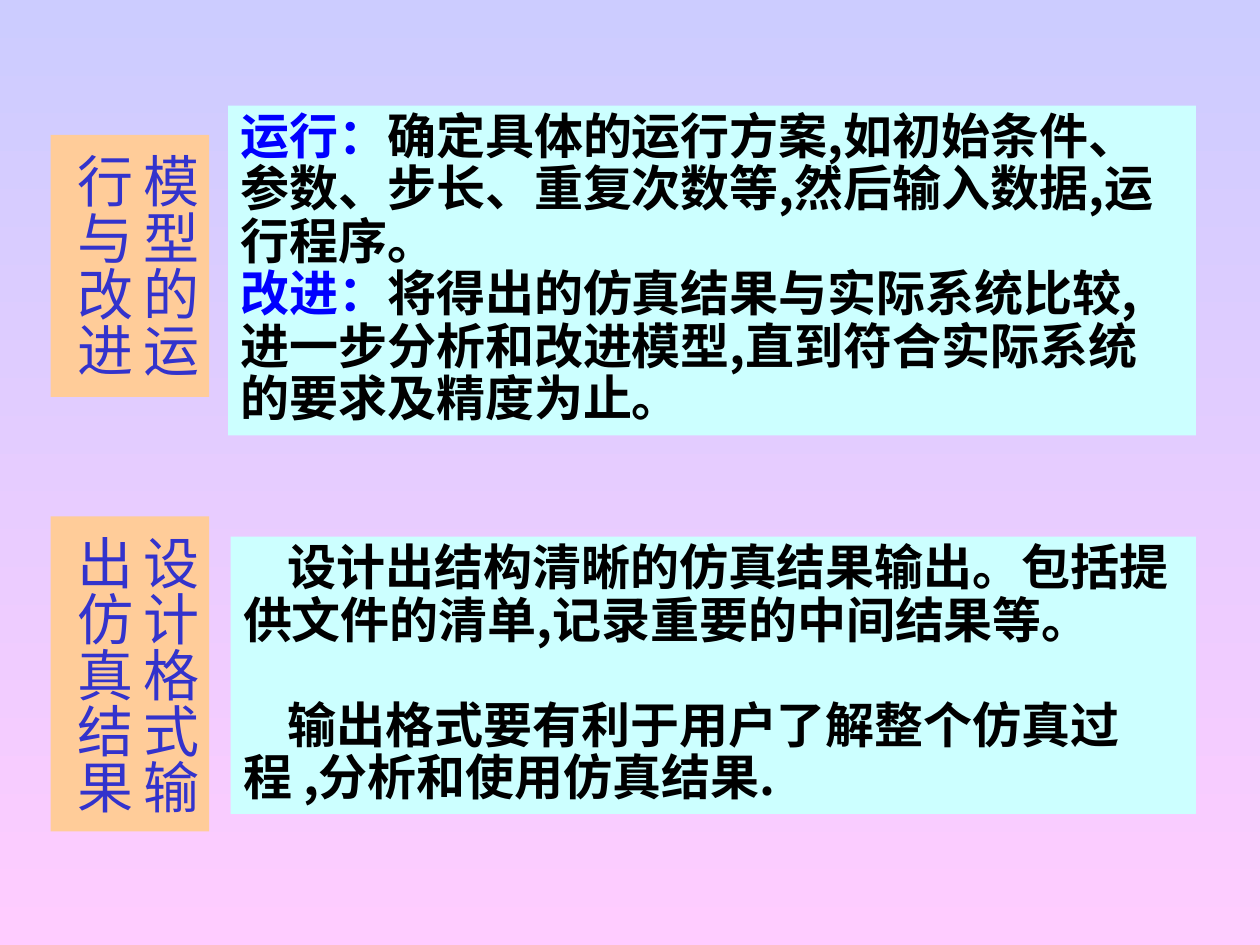
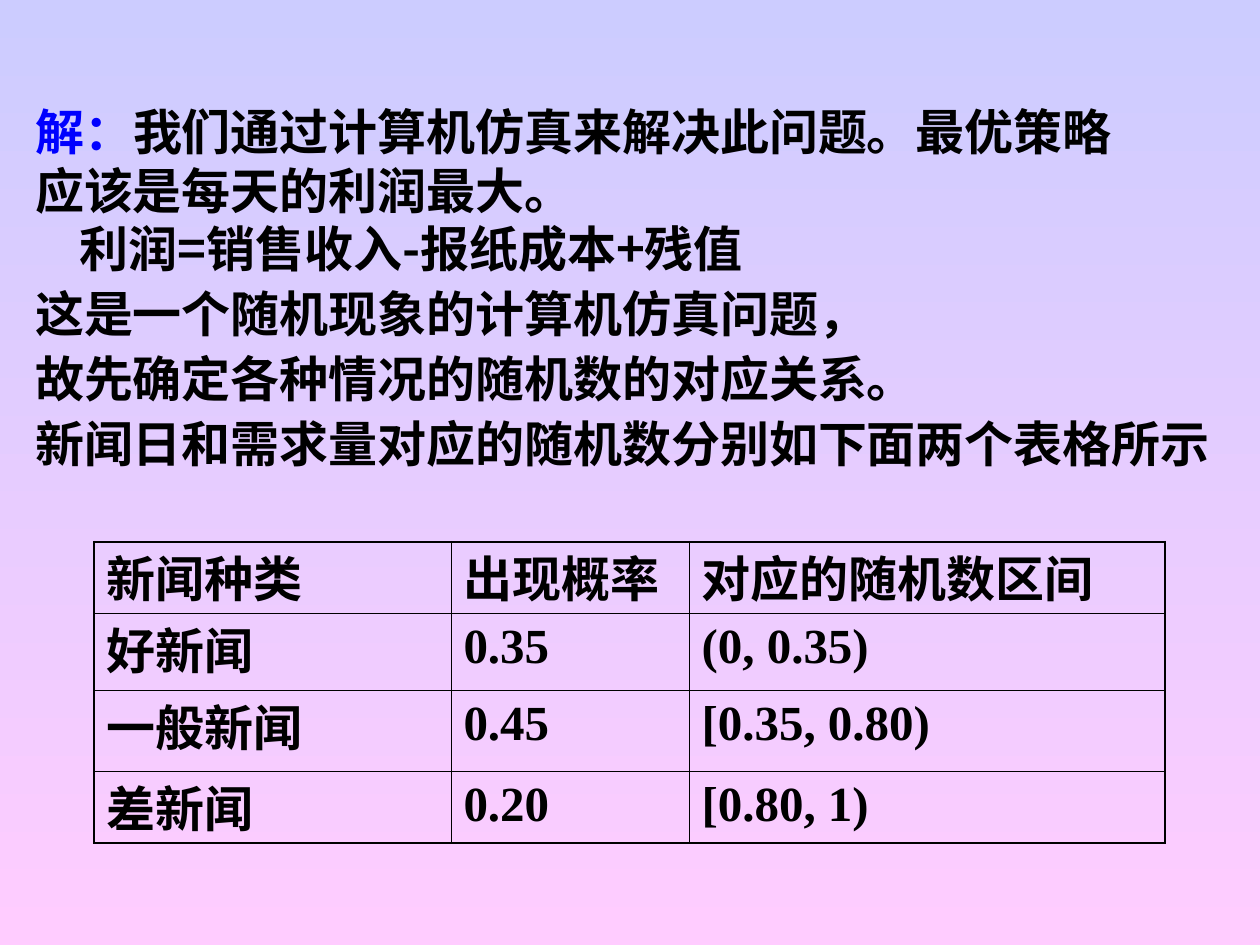
from lxml.etree import SubElement
from pptx import Presentation
from pptx.dml.color import RGBColor
from pptx.enum.shapes import MSO_SHAPE as Shape
from pptx.enum.text import MSO_ANCHOR as Anchor, PP_ALIGN as Align
from pptx.oxml.ns import qn
from pptx.util import Cm, Pt

COLORS = {
    "sky": "CCCCFF", "pink": "FFCCFF", "panel": "CCFFFF", "label": "FFCC99",
    "label_text": "3333CC", "lead": "0000FF", "text": "000000",
}
SANS, SERIF = "Noto Sans CJK SC", "Times New Roman"


def rgb(name):
    return RGBColor.from_string(COLORS[name])


def write(para, text, line, lead="", font=SANS, size=28, color="text", bold=True):
    """Fill a paragraph with an optional coloured lead-in and its text; \\n breaks the line."""
    para.alignment = Align.LEFT
    para.line_spacing = Pt(line)
    parts = [(lead, "lead")] if lead else []
    parts += [(piece, color) for piece in text.split("\n")]
    for index, (part, tone) in enumerate(parts):
        if index and not lead:
            para.add_line_break()
        span = para.add_run()
        span.text = part
        span.font.name = font
        span.font.size = Pt(size)
        span.font.bold = bold
        span.font.color.rgb = rgb(tone)
        SubElement(span.font._element, qn("a:ea"), typeface=SANS)


deck = Presentation()
deck.slide_width, deck.slide_height = Cm(25.4), Cm(19.05)
pages = [deck.slides.add_slide(deck.slide_layouts[6]) for _ in range(2)]
for page in pages:
    backdrop = page.background.fill
    backdrop.gradient()
    backdrop.gradient_angle = 270
    for stop, name, position in zip(backdrop.gradient_stops, ("sky", "pink"), (0, 1)):
        stop.color.rgb = rgb(name)
        stop.position = position

# Slide 1: two steps, each a vertical label beside a text panel
steps_page, solution_page = pages
steps = [
    {
        "panel": (4.6, 2.13, 19.51, 6.65),
        "label": (1.02, 2.72, 3.2, 5.28),
        "title": "模型的运行与改进",
        "paras": [
            ("运行：", "确定具体的运行方案,如初始条件、参数、步长、重复次数等,然后输入数据,运行程序。"),
            ("改进：", "将得出的仿真结果与实际系统比较,进一步分析和改进模型,直到符合实际系统的要求及精度为止。"),
        ],
        "indent": 0, "gap": 0,
    },
    {
        "panel": (4.65, 10.82, 19.46, 5.59),
        "label": (1.02, 10.41, 3.2, 6.35),
        "title": "设计格式输出仿真结果",
        "paras": [
            ("", "设计出结构清晰的仿真结果输出。包括提供文件的清单,记录重要的中间结果等。"),
            ("", "输出格式要有利于用户了解整个仿真过\n程 ,分析和使用仿真结果."),
        ],
        "indent": 0.9, "gap": 30,
    },
]
for step in steps:
    for kind in ("panel", "label"):
        box = steps_page.shapes.add_shape(Shape.RECTANGLE, *map(Cm, step[kind]))
        box.shadow.inherit = False
        box.fill.solid()
        box.fill.fore_color.rgb = rgb(kind)
        box.line.fill.background()
        frame = box.text_frame
        frame.word_wrap = True
        frame.vertical_anchor = Anchor.TOP
        if kind == "label":
            frame.margin_left = frame.margin_right = Cm(0.13)
            frame.margin_top, frame.margin_bottom = Cm(0.38), Cm(0.25)
            frame._txBody.bodyPr.set("vert", "eaVert")
            write(frame.paragraphs[0], step["title"], 38, font=SERIF, size=32,
                  color="label_text", bold=False)
            continue
        for index, (lead, text) in enumerate(step["paras"]):
            para = frame.add_paragraph() if index else frame.paragraphs[0]
            write(para, text, 30, lead)
            if index:
                para.space_before = Pt(step["gap"])
            if step["indent"]:
                para._p.get_or_add_pPr().set("indent", str(Cm(step["indent"])))

# Slide 2: solution text; each line gives lead, text, spacing, space before, indent
solution_lines = [
    ("解：", "我们通过计算机仿真来解决此问题。最优策略", 33.5, 0, 0),
    ("", "应该是每天的利润最大。", 33.5, 0, 0),
    ("", "利润=销售收入-报纸成本+残值", 33.5, 0, 0.9),
    ("", "这是一个随机现象的计算机仿真问题，", 30, 7, 0),
    ("", "故先确定各种情况的随机数的对应关系。", 30, 7, 0),
    ("", "新闻日和需求量对应的随机数分别如下面两个表格所示", 30, 7, 0),
]
solution = solution_page.shapes.add_textbox(Cm(0.46), Cm(1.93), Cm(24.18), Cm(7.77))
frame = solution.text_frame
frame.word_wrap = False
for index, (lead, text, line, before, indent) in enumerate(solution_lines):
    para = frame.add_paragraph() if index else frame.paragraphs[0]
    write(para, text, line, lead)
    if before:
        para.space_before = Pt(before)
    if indent:
        para._p.get_or_add_pPr().set("indent", str(Cm(indent)))

# Slide 2: news table with a heavier outer border
news_rows = [
    ("新闻种类", "出现概率", "对应的随机数区间"),
    ("好新闻", "0.35", "(0, 0.35)"),
    ("一般新闻", "0.45", "[0.35, 0.80)"),
    ("差新闻", "0.20", "[0.80, 1)"),
]
widths, heights = (7.19, 4.8, 9.6), (1.45, 1.55, 1.63, 1.45)
news = solution_page.shapes.add_table(
    len(heights), len(widths), Cm(1.9), Cm(10.92), Cm(sum(widths)), Cm(sum(heights))).table
news.first_row = news.horz_banding = False
for column, width in zip(news.columns, widths):
    column.width = Cm(width)
for row, height in zip(news.rows, heights):
    row.height = Cm(height)
last_row, last_column = len(heights) - 1, len(widths) - 1
for r, values in enumerate(news_rows):
    for c, value in enumerate(values):
        cell = news.cell(r, c)
        cell.margin_top = cell.margin_bottom = 0
        numeric = r > 0 and c > 0
        write(cell.text_frame.paragraphs[0], value, 34.5 if numeric else 40, font=SERIF)
        outer = {"L": c == 0, "R": c == last_column, "T": r == 0, "B": r == last_row}
        for side, heavy in outer.items():
            border = SubElement(cell._tc.get_or_add_tcPr(), qn(f"a:ln{side}"),
                                w=str(Pt(1.08 if heavy else 0.45)))
            SubElement(SubElement(border, qn("a:solidFill")), qn("a:srgbClr"),
                       val=COLORS["text"])
        cell.fill.background()

deck.save("out.pptx")
